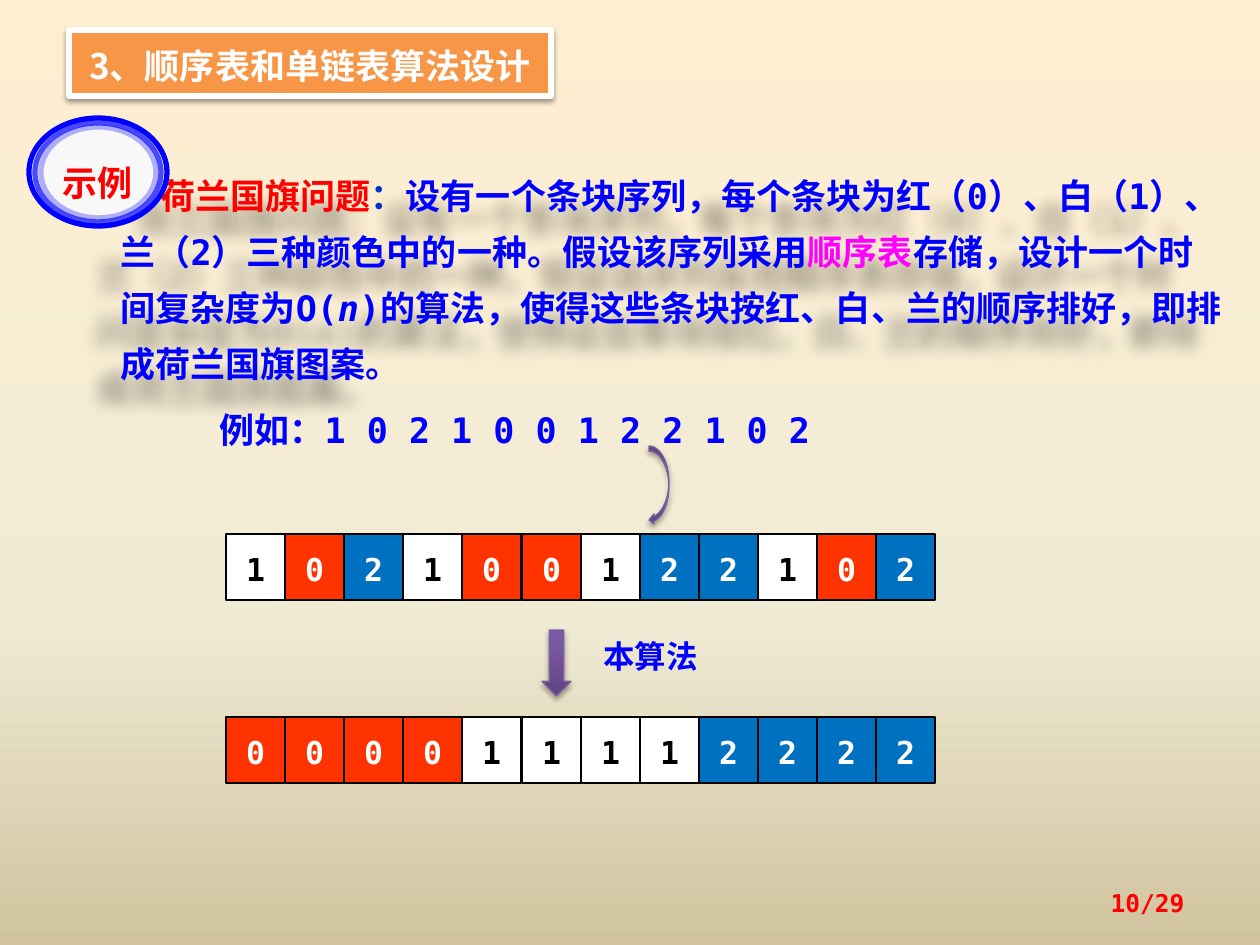
from dataclasses import dataclass
from typing import Any, NamedTuple, Optional

from lxml.etree import SubElement
from pptx import Presentation
from pptx.dml.color import RGBColor
from pptx.enum.shapes import MSO_SHAPE as Shape
from pptx.enum.text import MSO_ANCHOR as Anchor, MSO_AUTO_SIZE as AutoSize, PP_ALIGN as Align
from pptx.oxml.ns import qn
from pptx.util import Pt

PX = 914400 // 126
MONO, CJK, CJK_JP = "DejaVu Sans Mono", "Noto Sans CJK SC", "Noto Sans CJK JP"
BLACK = RGBColor(0, 0, 0)
WHITE = RGBColor(255, 255, 255)
RED = RGBColor(255, 0, 0)
BLUE = RGBColor(0, 0, 255)
NAVY = RGBColor(0, 0x33, 0xCC)
MAGENTA = RGBColor(255, 0, 255)
ORANGE = RGBColor(0xF7, 0x96, 0x46)
PALE = RGBColor(0xF8, 0xF8, 0xF8)
PURPLE = RGBColor(0x7D, 0x60, 0xA0)
STRIPE_RED = RGBColor(0xFF, 0x33, 0)
STRIPE_BLUE = RGBColor(0, 0x70, 0xC0)
SKY = [(0, "FFEFD1"), (65, "F0EBD5"), (100, "D1C39F")]
VIOLET = [(0, "5F4480"), (80, "7B58A6"), (100, "7C57A8")]
STRIPES = {"0": (STRIPE_RED, WHITE), "1": (WHITE, BLACK), "2": (STRIPE_BLUE, WHITE)}


class Box(NamedTuple):
    x: int
    y: int
    w: int
    h: int


class Shadow(NamedTuple):
    alpha: int
    blur: float
    dist: float
    angle: int


@dataclass
class Span:
    text: str
    color: RGBColor
    size: int = 20
    font: str = MONO
    italic: bool = False


@dataclass
class Ring:
    box: Box
    fill: Optional[RGBColor]
    alpha: int


@dataclass
class Label:
    box: Box
    span: Span
    align: Align = Align.LEFT


def set_all(obj: Any, **values: Any) -> None:
    for name, value in values.items():
        setattr(obj, name, value)


def place(sp: Any, box: Box) -> None:
    set_all(sp, **{k: v * PX for k, v in zip(("left", "top", "width", "height"), box)})


def set_gradient(fill: Any, element: Any, stops: list, angle: int) -> None:
    fill.gradient()
    fill.gradient_angle = angle
    gs_list = next(element.iter(qn("a:gsLst")))
    for gs in list(gs_list):
        gs_list.remove(gs)
    for pos, color in stops:
        gs = SubElement(gs_list, qn("a:gs"), pos=str(pos * 1000))
        SubElement(gs, qn("a:srgbClr"), val=color)


def set_shadow(sp: Any, shadow: Shadow) -> None:
    sp.shadow.inherit = False
    effects = next(sp.element.iter(qn("a:effectLst")))
    outer = SubElement(effects, qn("a:outerShdw"), blurRad=str(Pt(shadow.blur)),
                       dist=str(Pt(shadow.dist)), dir=str(shadow.angle * 60000),
                       algn="ctr", rotWithShape="0")
    color = SubElement(outer, qn("a:srgbClr"), val="000000")
    SubElement(color, qn("a:alpha"), val=str(shadow.alpha * 1000))


def write(sp: Any, spans: list[Span], spacing: Any = 1.1, align: Align = Align.LEFT,
          anchor: Anchor = Anchor.TOP, wrap: bool = True) -> Any:
    tf = sp.text_frame
    set_all(tf, word_wrap=wrap, auto_size=AutoSize.NONE, vertical_anchor=anchor)
    p = tf.paragraphs[0]
    set_all(p, alignment=align, line_spacing=spacing, space_before=Pt(0))
    for span in spans:
        r = p.add_run()
        r.text = span.text
        set_all(r.font, size=Pt(span.size), bold=True, italic=span.italic, name=span.font)
        r.font.color.rgb = span.color
        east = CJK if span.font == MONO else span.font
        SubElement(r.font._element, qn("a:ea"), typeface=east)
    return p


def add_shape(shapes: Any, kind: Shape, box: Box, fill: Optional[RGBColor],
              line: RGBColor, width: float) -> Any:
    sp = shapes.add_shape(kind, *(v * PX for v in box))
    sp.shadow.inherit = False
    if fill is None:
        sp.fill.background()
    else:
        sp.fill.solid()
        sp.fill.fore_color.rgb = fill
    sp.line.color.rgb = line
    sp.line.width = Pt(width)
    return sp


def add_text(shapes: Any, box: Box, spans: list[Span], **layout: Any) -> tuple:
    sp = shapes.add_textbox(*(v * PX for v in box))
    return sp, write(sp, spans, **layout)


def add_stripes(shapes: Any, digits: str, top: int) -> None:
    group = shapes.add_group_shape().shapes
    for i, digit in enumerate(digits):
        fill, color = STRIPES[digit]
        box = Box(226 + round(59.1 * i), top, 59, 66)
        sp = add_shape(group, Shape.RECTANGLE, box, fill, BLACK, 1.5)
        write(sp, [Span(digit, color, 18)], align=Align.CENTER, anchor=Anchor.MIDDLE)


def add_arrow(shapes: Any, kind: Shape, box: Box) -> None:
    sp = add_shape(shapes, kind, box, None, PURPLE, 0.75)
    set_gradient(sp.fill, sp.element, VIOLET, 90)
    set_shadow(sp, Shadow(35, 3.1, 1.8, 90))


PROBLEM = [
    Span("荷兰国旗问题", RED, font=CJK),
    Span("：", NAVY),
    Span("设有一个条块序列，每个条块为红（0）、白（1）、兰（2）三种颜色中的一种。假设该序列采用", BLUE),
    Span("顺序表", MAGENTA),
    Span("存储，设计一个时间复杂度为O(", BLUE),
    Span("n", BLUE, italic=True),
    Span(")的算法，使得这些条块按红、白、兰的顺序排好，即排成荷兰国旗图案。", BLUE),
]
RINGS = [
    Ring(Box(29, 118, 138, 108), PALE, 100),
    Ring(Box(35, 123, 126, 99), None, 70),
    Ring(Box(41, 127, 115, 91), None, 30),
]
LABELS = [
    Label(Box(207, 398, 699, 59), Span("例如：1 0 2 1 0 0 1 2 2 1 0 2", BLUE)),
    Label(Box(591, 627, 168, 49), Span("本算法", BLUE, 18, CJK)),
    Label(Box(903, 878, 294, 50), Span("10/29", RED, 14), Align.RIGHT),
]
SEQUENCE = "102100122102"

prs = Presentation()
set_all(prs, slide_width=1260 * PX, slide_height=945 * PX)
s = prs.slides.add_slide(prs.slide_layouts[5])
set_gradient(s.background.fill, s.element, SKY, 270)

title = s.shapes.title
place(title, Box(69, 30, 482, 66))
title.fill.solid()
title.fill.fore_color.rgb = ORANGE
title.line.color.rgb = WHITE
title.line.width = Pt(3)
set_shadow(title, Shadow(38, 3.1, 1.6, 90))
write(title, [Span("3、顺序表和单链表算法设计", WHITE, font=CJK)],
      align=Align.CENTER, anchor=Anchor.MIDDLE, wrap=False)

problem, p = add_text(s.shapes, Box(108, 154, 1131, 239), PROBLEM, spacing=Pt(32))
for name, value in {"indent": str(40 * PX), "hangingPunct": "0"}.items():
    p._p.get_or_add_pPr().set(name, value)
set_shadow(problem, Shadow(35, 8, 19, 135))

for label in LABELS:
    anchor = Anchor.MIDDLE if label.align == Align.RIGHT else Anchor.TOP
    add_text(s.shapes, label.box, [label.span], align=label.align, anchor=anchor,
             spacing=1.0 if label.align == Align.RIGHT else 1.1)

add_stripes(s.shapes, SEQUENCE, 534)
add_arrow(s.shapes, Shape.CURVED_LEFT_ARROW, Box(649, 446, 20, 79))
add_stripes(s.shapes, "".join(sorted(SEQUENCE)), 717)
add_arrow(s.shapes, Shape.DOWN_ARROW, Box(542, 630, 29, 66))

badge = s.shapes.add_group_shape().shapes
for ring in RINGS:
    sp = add_shape(badge, Shape.OVAL, ring.box, ring.fill, BLUE, 3)
    color = next(next(sp.element.iter(qn("a:ln"))).iter(qn("a:srgbClr")))
    SubElement(color, qn("a:alpha"), val=str(ring.alpha * 1000))
add_text(badge, Box(37, 151, 121, 49), [Span("示例", RED, font=CJK_JP)], align=Align.CENTER)

prs.save("out.pptx")
